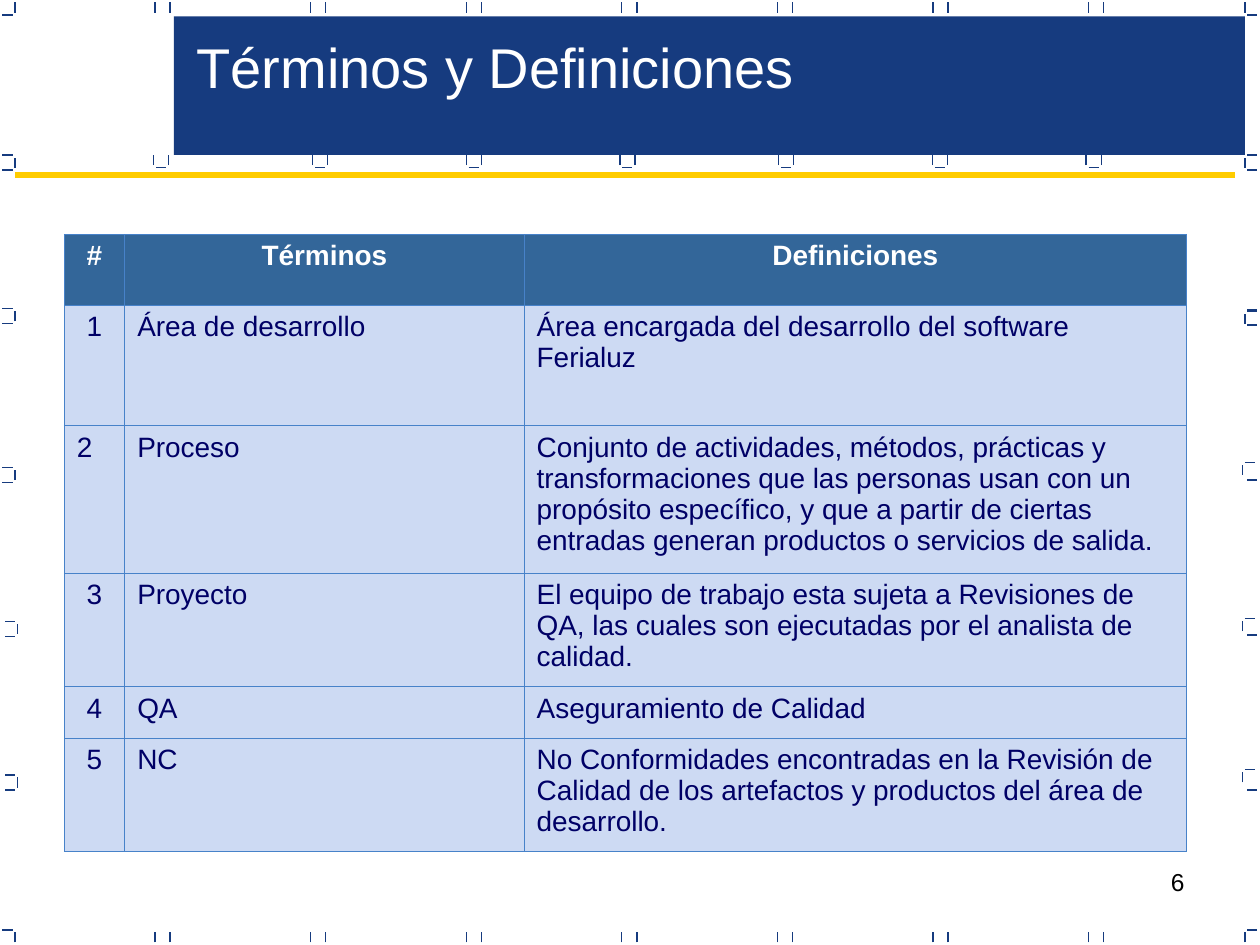
import pptx
import pptx.dml.color
import pptx.enum.shapes
import pptx.enum.text
import pptx.oxml
import pptx.oxml.ns
import pptx.util

Inches, Pt = pptx.util.Inches, pptx.util.Pt
PP_ALIGN = pptx.enum.text.PP_ALIGN

COLORS = {
    "navy": "163B7F", "yellow": "FFCC00", "white": "FFFFFF", "black": "000000",
    "header": "336699", "cell": "CDDAF3", "border": "4782C9", "text": "000066",
}
TICK = 0.08

COL_WIDTHS = [0.48, 3.17, 5.26]
ROW_HEIGHTS = [0.56, 0.96, 1.17, 0.9, 0.41, 0.9]
ROWS = [
    ("#", "Términos", "Definiciones"),
    ("1", "Área de desarrollo", "Área encargada del desarrollo del software Ferialuz"),
    ("2", "Proceso", "Conjunto de actividades, métodos, prácticas y transformaciones que las "
     "personas usan con un propósito específico, y que a partir de ciertas entradas generan "
     "productos o servicios de salida."),
    ("3", "Proyecto", "El equipo de trabajo esta sujeta a Revisiones de QA, las cuales son "
     "ejecutadas por el analista de calidad."),
    ("4", "QA", "Aseguramiento de Calidad"),
    ("5", "NC", "No Conformidades encontradas en la Revisión de Calidad de los artefactos y "
     "productos del área de desarrollo."),
]


def rgb(name):
    return pptx.dml.color.RGBColor.from_string(COLORS[name])


def set_text(tf, text, size, color, align=PP_ALIGN.LEFT, bold=False):
    tf.text = text
    p = tf.paragraphs[0]
    p.alignment = align
    font = p.runs[0].font
    font.name, font.size, font.bold = "Arial", Pt(size), bold
    font.color.rgb = rgb(color)


def add_line(s, x1, y1, x2, y2, color="navy", width=0.75):
    line = s.shapes.add_connector(pptx.enum.shapes.MSO_CONNECTOR.STRAIGHT,
                                  Inches(x1), Inches(y1), Inches(x2), Inches(y2))
    line.line.color.rgb = rgb(color)
    line.line.width = Pt(width)
    sp_pr = line.element.find(pptx.oxml.ns.qn("p:spPr"))
    sp_pr.append(pptx.oxml.parse_xml(
        f'<a:effectLst {pptx.oxml.ns.nsdecls("a")}/>'))


def v_tick(s, x, y):
    add_line(s, x, y + TICK, x, y)


def h_tick(s, x, y):
    add_line(s, x, y, x + TICK, y)


def add_edge_ticks(s):
    # Pairs along the top and bottom edges
    for i in range(7):
        x = 1.23 + 1.235 * i
        for y in (0.02, 7.4):
            v_tick(s, x, y)
            v_tick(s, x + 0.12, y)

    # Corners
    for v_x, h_x in ((0.12, 0.02), (9.88, 9.9)):
        for v_y, h_y in ((0.02, 0.12), (7.4, 7.38)):
            v_tick(s, v_x, v_y)
            h_tick(s, h_x, h_y)

    # Brackets on the left edge
    for x, y in ((0.02, 1.23), (0.02, 2.45), (0.02, 3.71), (0.04, 4.93), (0.04, 6.15)):
        v_tick(s, x + 0.1, y + 0.02)
        h_tick(s, x, y)
        h_tick(s, x, y + 0.12)

    # Brackets on the right edge
    for x, y in ((9.88, 1.23), (9.88, 2.47), (9.86, 3.67), (9.86, 4.91), (9.86, 6.11)):
        v_tick(s, x, y + 0.02)
        h_tick(s, x + 0.02, y)
    h_tick(s, 9.9, 2.46)
    for i in range(5):
        h_tick(s, 9.9, 1.35 + 1.23 * i)


def add_band(s):
    band = s.shapes.add_shape(pptx.enum.shapes.MSO_SHAPE.RECTANGLE,
                              Inches(1.38), Inches(0.13), Inches(8.5), Inches(1.1))
    band.shadow.inherit = False
    band.fill.solid()
    band.fill.fore_color.rgb = rgb("navy")
    band.line.fill.background()

    # Cups hanging below the band
    for x in (1.22, 2.48, 3.7, 4.92, 6.18, 7.4, 8.62):
        v_tick(s, x, 1.23)
        v_tick(s, x + 0.12, 1.23)
        h_tick(s, x + 0.02, 1.33)


def place_title(s, text):
    title = s.shapes.title
    title.left, title.top = Inches(1.46), Inches(0.21)
    title.width, title.height = Inches(4.95), Inches(0.64)
    tf = title.text_frame
    set_text(tf, text, 32, "white")
    tf.word_wrap = False
    tf.auto_size = pptx.enum.text.MSO_AUTO_SIZE.SHAPE_TO_FIT_TEXT
    tf.vertical_anchor = pptx.enum.text.MSO_ANCHOR.TOP
    s.shapes.element.append(title.element)  # bring in front of the band


def set_borders(cell):
    tc_pr = cell._tc.get_or_add_tcPr()
    for i, side in enumerate(("lnL", "lnR", "lnT", "lnB")):
        tc_pr.insert(i, pptx.oxml.parse_xml(
            f'<a:{side} {pptx.oxml.ns.nsdecls("a")} w="{Pt(0.45)}"><a:solidFill>'
            f'<a:srgbClr val="{COLORS["border"]}"/></a:solidFill></a:{side}>'))


def add_terms_table(s):
    table = s.shapes.add_table(len(ROWS), len(COL_WIDTHS), Inches(0.51), Inches(1.86),
                               Inches(sum(COL_WIDTHS)), Inches(sum(ROW_HEIGHTS))).table
    for column, width in zip(table.columns, COL_WIDTHS):
        column.width = Inches(width)
    for r, (row, height) in enumerate(zip(ROWS, ROW_HEIGHTS)):
        table.rows[r].height = Inches(height)
        header = r == 0
        for c, text in enumerate(row):
            cell = table.cell(r, c)
            # Numbers are centred, except the one in the second row
            centred = header or (c == 0 and r != 2)
            set_text(cell.text_frame, text, 16, "white" if header else "text",
                     PP_ALIGN.CENTER if centred else PP_ALIGN.LEFT, header)
            cell.text_frame.paragraphs[0].space_before = Pt(4)
            cell.fill.solid()
            cell.fill.fore_color.rgb = rgb("header" if header else "cell")
            set_borders(cell)


def add_page_number(s, number):
    box = s.shapes.add_textbox(Inches(7.17), Inches(6.83), Inches(2.33), Inches(0.52))
    box.text_frame.word_wrap = True
    set_text(box.text_frame, number, 14, "black", PP_ALIGN.RIGHT)


def main():
    prs = pptx.Presentation()
    prs.slide_width, prs.slide_height = Inches(10), Inches(7.5)
    s = prs.slides.add_slide(prs.slide_layouts[5])

    # Frame
    add_page_number(s, "6")
    add_edge_ticks(s)
    add_band(s)

    # Content
    place_title(s, "Términos y Definiciones")
    add_line(s, 0.12, 1.39, 9.8, 1.39, "yellow", 3)
    add_terms_table(s)

    prs.save("out.pptx")


if __name__ == "__main__":
    main()
